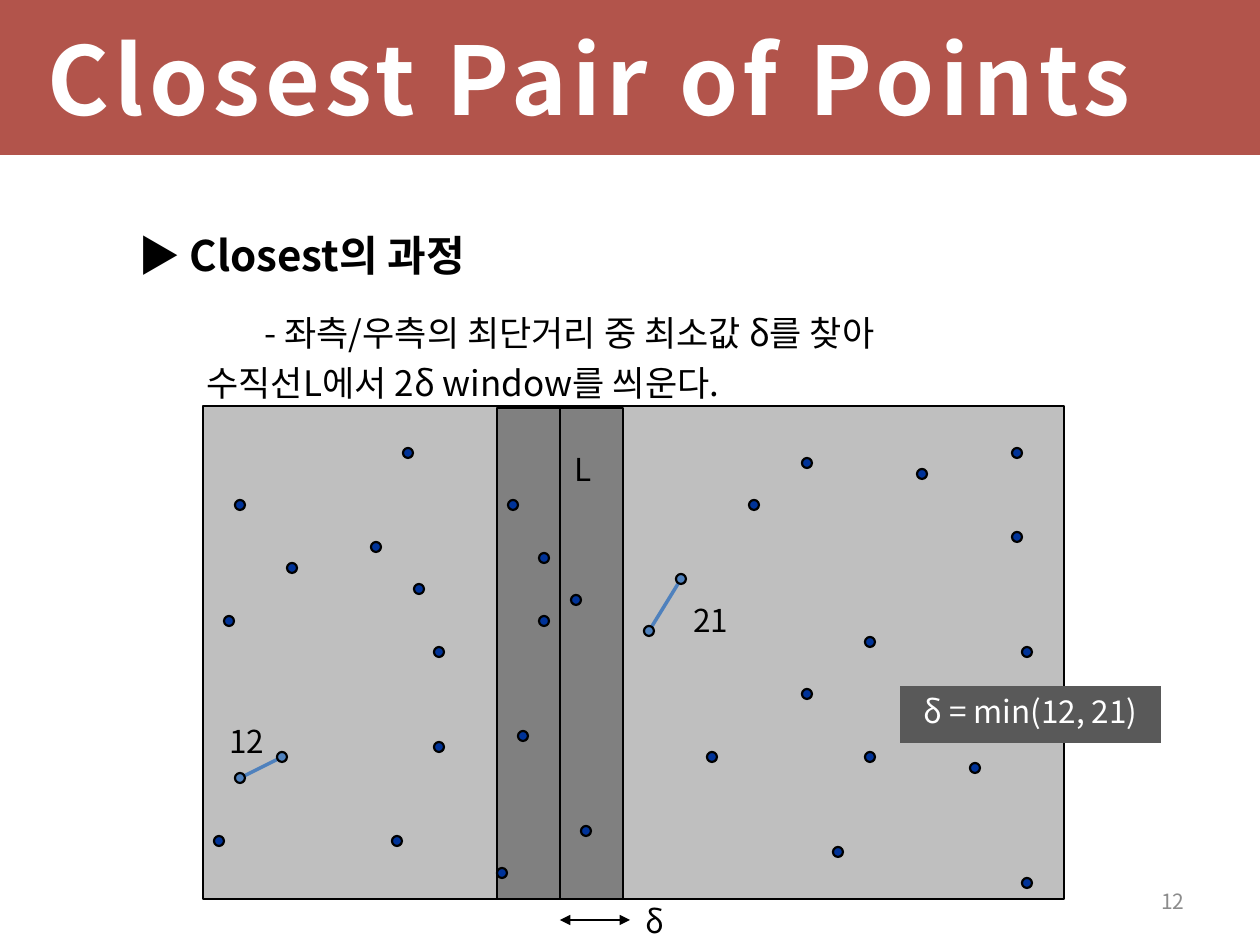
from lxml.etree import SubElement
from pptx import Presentation
from pptx.dml.color import RGBColor
from pptx.enum.shapes import MSO_CONNECTOR, MSO_SHAPE
from pptx.enum.text import MSO_ANCHOR, PP_ALIGN
from pptx.oxml.ns import qn
from pptx.util import Emu, Pt

FONT = "Noto Sans CJK KR"
BRICK = RGBColor(0x9B, 0x1F, 0x13)
WHITE = RGBColor(0xFF, 0xFF, 0xFF)
BLACK = RGBColor(0x00, 0x00, 0x00)
PALE = RGBColor(0xBF, 0xBF, 0xBF)
GRAY = RGBColor(0x80, 0x80, 0x80)
DARK = RGBColor(0x59, 0x59, 0x59)
FAINT = RGBColor(0x8C, 0x8C, 0x8C)
NAVY = RGBColor(0x00, 0x33, 0x99)
BLUE = RGBColor(0x4F, 0x81, 0xBD)

DOT = 10
POINTS = [
    (205, 47), (37, 99), (173, 141), (89, 162), (216, 183), (26, 215),
    (236, 246), (236, 341), (16, 435), (194, 435),
    (310, 99), (341, 152), (373, 194), (341, 215), (320, 330), (383, 425), (299, 467),
    (604, 57), (719, 68), (814, 47), (551, 99), (814, 131), (667, 236), (824, 246),
    (604, 288), (509, 351), (667, 351), (772, 362), (635, 446), (824, 477),
]
PAIRS = [
    ("12", (79, 351), (37, 372), (9, 310)),
    ("21", (478, 173), (446, 225), (473, 189)),
]


def px(length):
    return Emu(round(length * 914400 / 126))


def add_box(page, kind, box, fill, line=None, width=1):
    shape = page.shapes.add_shape(kind, *map(px, box))
    shape.shadow.inherit = False
    shape.fill.solid()
    shape.fill.fore_color.rgb = fill
    if line is None:
        shape.line.fill.background()
    else:
        shape.line.color.rgb = line
        shape.line.width = Pt(width)
    return shape


def add_line(page, start, end, color, width):
    line = page.shapes.add_connector(MSO_CONNECTOR.STRAIGHT, *map(px, start + end))
    line.line.color.rgb = color
    line.line.width = Pt(width)
    SubElement(line._element.spPr, qn("a:effectLst"))
    return line


def write(para, text, size, color, bold=False, align=PP_ALIGN.LEFT):
    para.text = text
    para.alignment = align
    para.font.name = FONT
    para.font.size = Pt(size)
    para.font.bold = bold
    para.font.color.rgb = color
    defaults = para._p.pPr.find(qn("a:defRPr"))
    SubElement(defaults, qn("a:ea"), typeface=FONT)
    return defaults


def add_text_frame(page, box, anchor):
    frame = page.shapes.add_textbox(*map(px, box)).text_frame
    frame.word_wrap = True
    frame.vertical_anchor = anchor
    return frame


def add_label(page, text, box):
    frame = add_text_frame(page, box, MSO_ANCHOR.TOP)
    frame.margin_left = frame.margin_right = 0
    write(frame.paragraphs[0], text, 18, BLACK, align=PP_ALIGN.CENTER)


def add_title(page, box):
    left, top, width, height = box
    band = add_box(page, MSO_SHAPE.RECTANGLE, box, BRICK)
    tint = band._element.spPr.find(qn("a:solidFill"))[0]
    SubElement(tint, qn("a:alpha"), val="76000")
    frame = add_text_frame(page, (left + 35, top, width - 69, height), MSO_ANCHOR.MIDDLE)
    defaults = write(frame.paragraphs[0], "Closest Pair of Points", 54, WHITE, True)
    defaults.set("spc", "300")


def add_body(page, box):
    frame = add_text_frame(page, box, MSO_ANCHOR.TOP)
    lines = [
        ("▶ Closest의 과정", 24, True, 63, 30.7, 0),
        ("- 좌측/우측의 최단거리 중 최소값 δ를 찾아", 20, False, 189, 28.3, 14),
        ("수직선L에서 2δ window를 씌운다.", 20, False, 131, 28.3, 0),
    ]
    for index, (text, size, bold, indent, pitch, gap) in enumerate(lines):
        para = frame.add_paragraph() if index else frame.paragraphs[0]
        write(para, text, size, BLACK, bold, PP_ALIGN.JUSTIFY)
        para.line_spacing = Pt(pitch)
        para.space_before = Pt(gap)
        para._p.pPr.set("marL", str(px(indent)))
        para._p.pPr.set("indent", "0")


def add_point_field(page, box):
    left, top, width, height = box

    def at(x, y):
        return left + x, top + y

    def add_dot(center, color):
        x, y = at(*center)
        corner = (x - DOT / 2, y - DOT / 2, DOT, DOT)
        add_box(page, MSO_SHAPE.OVAL, corner, color, BLACK, 1.25)

    add_box(page, MSO_SHAPE.RECTANGLE, box, PALE, BLACK)
    add_box(page, MSO_SHAPE.RECTANGLE, (*at(294, 2), 126, height - 2), GRAY, BLACK)
    for point in POINTS:
        add_dot(point, NAVY)
    add_line(page, at(357, 0), at(357, height), BLACK, 1)
    for distance, first, second, corner in PAIRS:
        add_line(page, at(*first), at(*second), BLUE, 2)
        add_dot(first, BLUE)
        add_dot(second, BLUE)
        add_label(page, distance, (*at(*corner), 69, 57))
    add_label(page, "L", (*at(346, 38), 69, 57))

    arrow = add_line(page, at(357, height + 21), at(427, height + 21), BLACK, 0.75)
    outline = arrow.line._get_or_add_ln()
    for end in ("a:headEnd", "a:tailEnd"):
        SubElement(outline, qn(end), type="triangle")
    add_label(page, "δ", (*at(431, height - 3), 42, 44))


def add_minimum(page, box):
    shape = add_box(page, MSO_SHAPE.RECTANGLE, box, DARK)
    frame = shape.text_frame
    frame.word_wrap = True
    frame.vertical_anchor = MSO_ANCHOR.TOP
    write(frame.paragraphs[0], "δ = min(12, 21)", 18, WHITE, align=PP_ALIGN.CENTER)


def add_page_number(page, box):
    frame = add_text_frame(page, box, MSO_ANCHOR.MIDDLE)
    write(frame.paragraphs[0], "12", 12, FAINT, align=PP_ALIGN.RIGHT)


deck = Presentation()
deck.slide_width, deck.slide_height = px(1260), px(945)
page = deck.slides.add_slide(deck.slide_layouts[6])
add_title(page, (0, 0, 1260, 155))
add_page_number(page, (903, 876, 294, 50))
add_body(page, (63, 220, 1134, 624))
add_point_field(page, (203, 406, 861, 493))
add_minimum(page, (900, 686, 261, 57))
deck.save("out.pptx")
